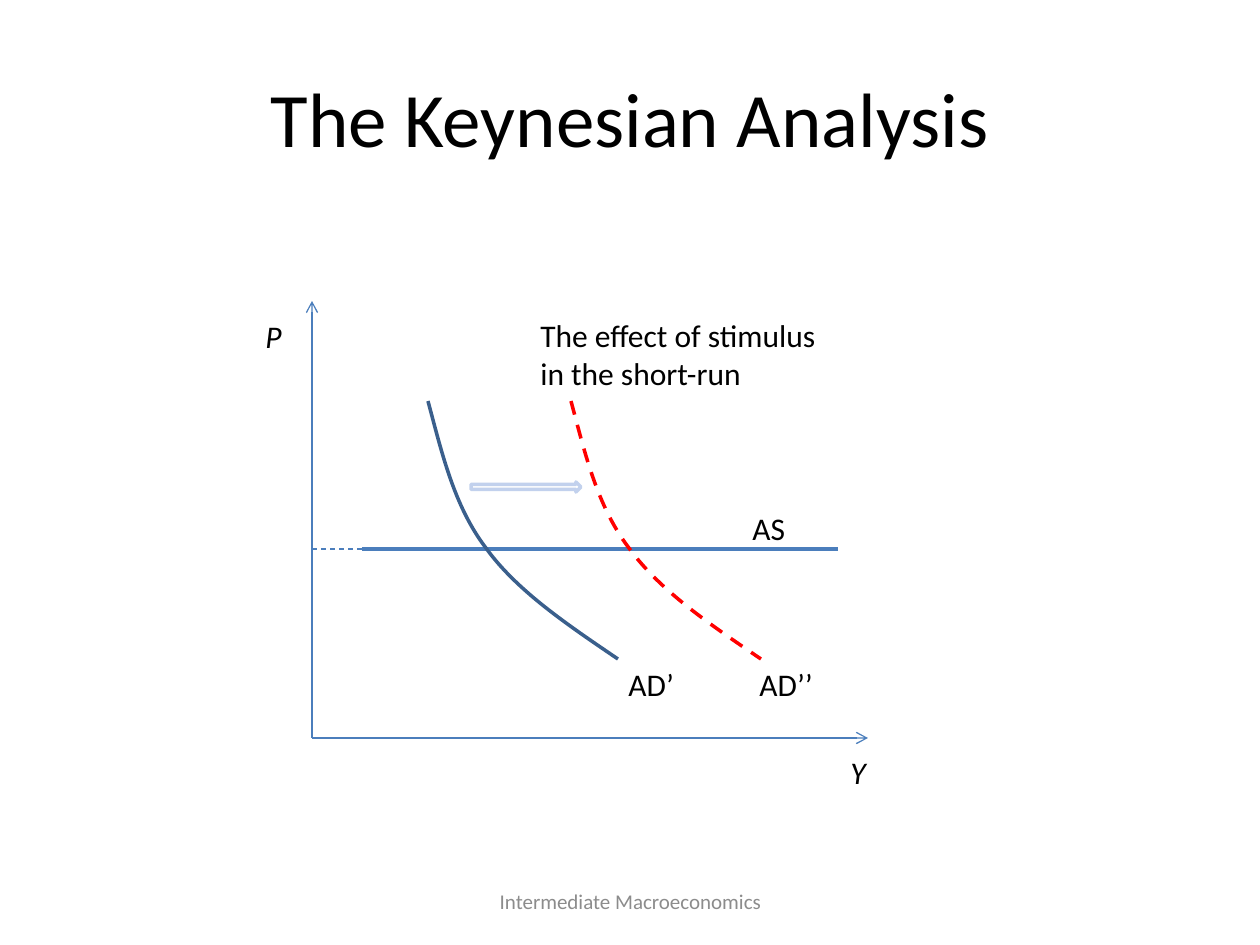
import collections
import dataclasses

import lxml.etree
import pptx
import pptx.dml.color
import pptx.enum.dml
import pptx.enum.shapes
import pptx.enum.text
import pptx.oxml.ns
import pptx.util

Box = collections.namedtuple("Box", "left top width height")
ALIGN = pptx.enum.text.PP_ALIGN
ANCHOR = pptx.enum.text.MSO_ANCHOR


@dataclasses.dataclass(frozen=True)
class Theme:
    font: str = "Calibri"
    text: str = "000000"
    footer: str = "8C8C8C"
    axis: str = "4B7EBC"
    demand: str = "3A5F8C"
    shifted: str = "FF0000"
    shift: str = "C2D1ED"
    title_size: int = 44
    label_size: int = 18
    footer_size: int = 12
    thin: float = 0.75
    thick: int = 2


THEME = Theme()
DEMAND_CURVE = [(14, 52), (26, 105), (58, 147), (89, 190), (140, 224), (190, 258)]


def emu(px):
    return round(px * 914400 / 126)


def place(box, left, top, width, height):
    return Box(box.left + left, box.top + top, width, height)


def add_xml(parent, tag, **attributes):
    return lxml.etree.SubElement(parent, pptx.oxml.ns.qn(tag), **attributes)


def add_text(page, box, text, size, color=THEME.text, italic=None,
             align=ALIGN.LEFT, anchor=ANCHOR.TOP):
    frame = page.shapes.add_textbox(*map(emu, box)).text_frame
    frame.word_wrap = True
    frame.vertical_anchor = anchor
    para = frame.paragraphs[0]
    para.alignment = align
    span = para.add_run()
    span.text = text
    span.font.name = THEME.font
    span.font.size = pptx.util.Pt(size)
    span.font.italic = italic
    span.font.color.rgb = pptx.dml.color.RGBColor.from_string(color)


def style_line(line, color, width, dashed=False):
    line.color.rgb = pptx.dml.color.RGBColor.from_string(color)
    line.width = pptx.util.Pt(width)
    if dashed:
        line.dash_style = pptx.enum.dml.MSO_LINE.DASH


def add_line(page, box, start, end, width, dashed=False, arrow=False):
    ends = [emu(origin + offset) for point in (start, end)
            for origin, offset in zip((box.left, box.top), point)]
    connector = page.shapes.add_connector(
        pptx.enum.shapes.MSO_CONNECTOR.STRAIGHT, *ends)
    style_line(connector.line, THEME.axis, width, dashed)
    properties = connector._element.spPr
    if arrow:
        add_xml(properties.find(pptx.oxml.ns.qn("a:ln")), "a:tailEnd", type="arrow")
    add_xml(properties, "a:effectLst")


def add_curve(page, box, left, top, color, dashed=False):
    x, y = box.left + left, box.top + top
    builder = page.shapes.build_freeform(emu(x), emu(y))
    builder.add_line_segments(
        [(emu(x + dx), emu(y + dy)) for dx, dy in DEMAND_CURVE], close=False)
    curve = builder.convert_to_shape()
    outline = next(curve._element.iter(pptx.oxml.ns.qn("a:path")))
    segments = outline.findall(pptx.oxml.ns.qn("a:lnTo"))
    for first in range(0, len(segments), 3):
        bezier = add_xml(outline, "a:cubicBezTo")
        for segment in segments[first:first + 3]:
            bezier.append(segment[0])
            outline.remove(segment)
    curve.fill.background()
    curve.shadow.inherit = False
    style_line(curve.line, color, THEME.thick, dashed)


def draw_title(page, box):
    add_text(page, box, "The Keynesian Analysis", THEME.title_size,
             align=ALIGN.CENTER, anchor=ANCHOR.MIDDLE)


def draw_footer(page, box):
    add_text(page, box, "Intermediate Macroeconomics", THEME.footer_size,
             THEME.footer, align=ALIGN.CENTER, anchor=ANCHOR.MIDDLE)


def draw_diagram(page, box):
    origin = (0, box.height)
    add_line(page, box, origin, (box.width, box.height), THEME.thin, arrow=True)
    add_line(page, box, origin, (0, 0), THEME.thin, arrow=True)

    supply_y, supply_left = 248, 50
    add_line(page, box, (supply_left, supply_y), (526, supply_y), THEME.thick)
    add_line(page, box, (0, supply_y), (supply_left, supply_y), THEME.thin, dashed=True)

    add_curve(page, box, 116, 100, THEME.demand)
    add_curve(page, box, 259, 100, THEME.shifted, dashed=True)

    shift = page.shapes.add_shape(pptx.enum.shapes.MSO_SHAPE.RIGHT_ARROW,
                                  *map(emu, place(box, 159, 181, 110, 10)))
    shift.fill.background()
    shift.shadow.inherit = False
    style_line(shift.line, THEME.shift, THEME.thick)

    labels = [
        ("P", (-59, 10, 59, 50), True),
        ("Y", (526, 446, 59, 50), True),
        ("The effect of stimulus in the short-run", (216, 9, 328, 89), None),
        ("AS", (428, 202, 100, 50), None),
        ("AD’", (304, 358, 93, 50), None),
        ("AD’’", (435, 358, 93, 50), None),
    ]
    for text, area, italic in labels:
        add_text(page, place(box, *area), text, THEME.label_size, italic=italic)


def main():
    deck = pptx.Presentation()
    deck.slide_width, deck.slide_height = emu(1260), emu(945)
    page = deck.slides.add_slide(deck.slide_layouts[6])
    draw_title(page, Box(63, 38, 1134, 158))
    draw_diagram(page, Box(312, 301, 556, 437))
    draw_footer(page, Box(431, 876, 399, 50))
    deck.save("out.pptx")


if __name__ == "__main__":
    main()
